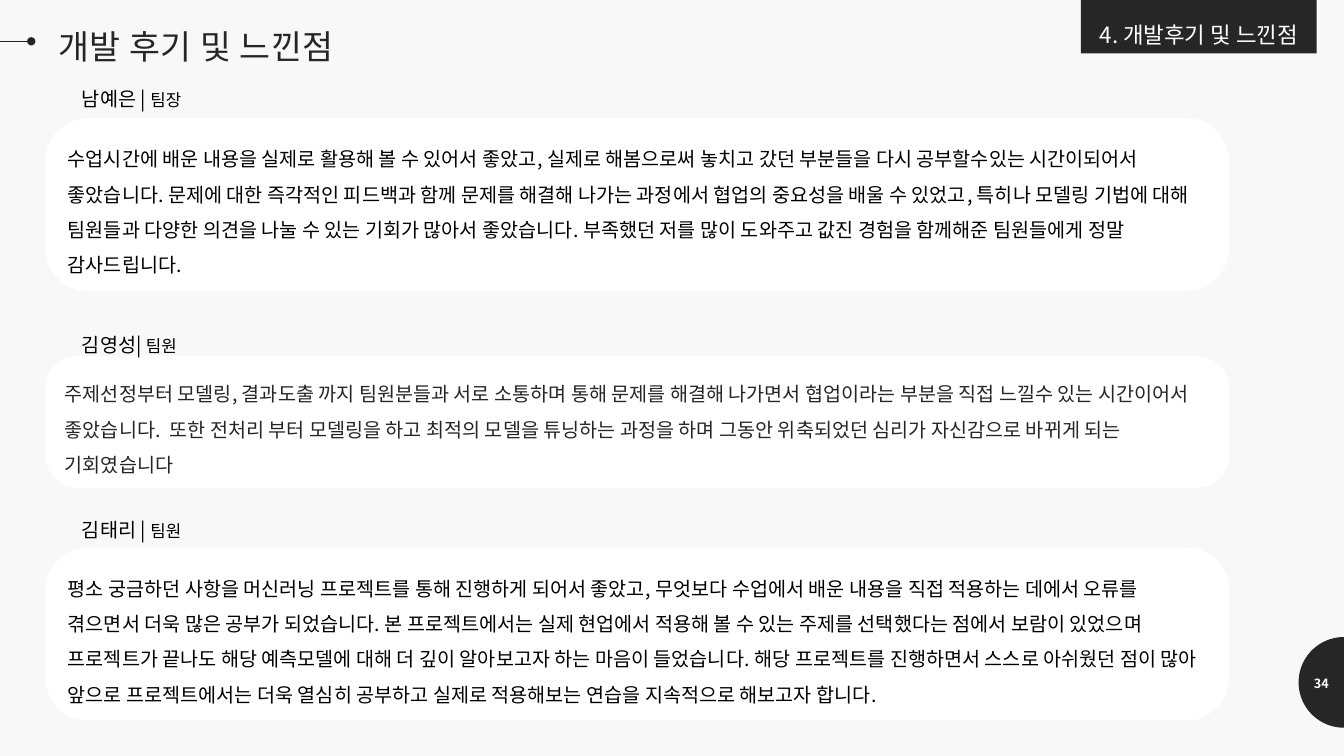
import math
from dataclasses import dataclass

from lxml import etree
from pptx import Presentation
from pptx.dml.color import RGBColor
from pptx.enum import shapes, text
from pptx.oxml import ns
from pptx.util import Inches, Pt

FONT = "Noto Sans CJK KR"
DARK = RGBColor(0x26, 0x26, 0x26)
BLACK = RGBColor(0, 0, 0)
WHITE = RGBColor(0xFF, 0xFF, 0xFF)
PAPER = RGBColor(0xF8, 0xF8, 0xF8)
WIDTH, HEIGHT = 13.33, 7.5
CORNER = 0.249
LABEL_BOX_SIZE = (1.49, 0.48)
TITLE_INSETS = (0.12, 0.12, 0.12, 0.1)


@dataclass(frozen=True)
class Review:
    name: str
    role: str
    comment: str
    label_top: float
    card_top: float
    card_height: float
    color: RGBColor = BLACK


REVIEWS = [
    Review(
        "남예은 | ", "팀장",
        "수업시간에 배운 내용을 실제로 활용해 볼 수 있어서 좋았고, 실제로 해봄으로써 놓치고 갔던 부분들을 "
        "다시 공부할수있는 시간이되어서 좋았습니다. 문제에 대한 즉각적인 피드백과 함께 문제를 해결해 나가는 "
        "과정에서 협업의 중요성을 배울 수 있었고, 특히나 모델링 기법에 대해 팀원들과 다양한 의견을 나눌 수 있는 "
        "기회가 많아서 좋았습니다. 부족했던 저를 많이 도와주고 값진 경험을 함께해준 팀원들에게 정말 감사드립니다.",
        0.66, 1.17, 1.72),
    Review(
        "김영성| ", "팀원",
        "주제선정부터 모델링, 결과도출 까지 팀원분들과 서로 소통하며 통해 문제를 해결해 나가면서 협업이라는 "
        "부분을 직접 느낄수 있는 시간이어서 좋았습니다.  또한 전처리 부터 모델링을 하고 최적의 모델을 튜닝하는 "
        "과정을 하며 그동안 위축되었던 심리가 자신감으로 바뀌게 되는 기회였습니다",
        3.1, 3.53, 1.31, DARK),
    Review(
        "김태리 | ", "팀원",
        "평소 궁금하던 사항을 머신러닝 프로젝트를 통해 진행하게 되어서 좋았고, 무엇보다 수업에서 배운 내용을 "
        "직접 적용하는 데에서 오류를 겪으면서 더욱 많은 공부가 되었습니다. 본 프로젝트에서는 실제 현업에서 "
        "적용해 볼 수 있는 주제를 선택했다는 점에서 보람이 있었으며 프로젝트가 끝나도 해당 예측모델에 대해 더 깊이 "
        "알아보고자 하는 마음이 들었습니다. 해당 프로젝트를 진행하면서 스스로 아쉬웠던 점이 많아 앞으로 "
        "프로젝트에서는 더욱 열심히 공부하고 실제로 적용해보는 연습을 지속적으로 해보고자 합니다.",
        4.94, 5.43, 1.72),
]


def add_span(para, content: str, *, size: float, color: RGBColor,
             bold: bool = False, tracking: int = 0) -> None:
    """Append a run; tracking is in hundredths of a point."""
    span = para.add_run()
    span.text = content
    span.font.name = FONT
    span.font.size = Pt(size)
    span.font.bold = bold
    span.font.color.rgb = color
    properties = span.font._element
    etree.SubElement(properties, ns.qn("a:ea")).set("typeface", FONT)
    if tracking:
        properties.set("spc", str(tracking))


def prepare_para(box, *, align=text.PP_ALIGN.LEFT, anchor=text.MSO_ANCHOR.TOP,
                 spacing: float = 1.0, insets=(0.1, 0.05, 0.1, 0.05)):
    """Set the frame's layout and return its first paragraph."""
    frame = box.text_frame
    frame.word_wrap = True
    frame.auto_size = text.MSO_AUTO_SIZE.NONE
    frame.vertical_anchor = anchor
    (frame.margin_left, frame.margin_top,
     frame.margin_right, frame.margin_bottom) = map(Inches, insets)
    para = frame.paragraphs[0]
    para.alignment = align
    para.line_spacing = spacing
    return para


def add_box(page, kind, left: float, top: float, width: float, height: float,
            fill: RGBColor | None = None):
    box = page.shapes.add_shape(kind, *map(Inches, (left, top, width, height)))
    box.shadow.inherit = False
    box.line.fill.background()
    if fill is None:
        box.fill.background()
    else:
        box.fill.solid()
        box.fill.fore_color.rgb = fill
    if kind == shapes.MSO_SHAPE.ROUNDED_RECTANGLE:
        box.adjustments[0] = CORNER
    return box


def add_review(page, review: Review) -> None:
    rounded = shapes.MSO_SHAPE.ROUNDED_RECTANGLE
    card = add_box(page, rounded, 0.45, review.card_top, 11.74, review.card_height, WHITE)
    add_span(prepare_para(card, spacing=1.5), review.comment, size=14, color=review.color)
    label = add_box(page, rounded, 0.68, review.label_top, *LABEL_BOX_SIZE)
    para = prepare_para(label, spacing=1.5)
    add_span(para, review.name, size=14, color=BLACK)
    add_span(para, review.role, size=12, color=BLACK)


def add_page_number(page, number: str) -> None:
    radius, middle = 0.45, 6.77
    angles = [math.radians(degrees) for degrees in range(90, 271, 4)]
    points = [(Inches(WIDTH + radius * math.cos(angle)),
               Inches(middle + radius * math.sin(angle))) for angle in angles]
    builder = page.shapes.build_freeform(*points[0])
    builder.add_line_segments(points[1:], close=True)
    half_disc = builder.convert_to_shape()
    half_disc.shadow.inherit = False
    half_disc.fill.solid()
    half_disc.fill.fore_color.rgb = DARK
    half_disc.line.fill.background()
    box = page.shapes.add_textbox(*map(Inches, (WIDTH - radius, 6.57, radius, 0.4)))
    para = prepare_para(box, align=text.PP_ALIGN.CENTER, anchor=text.MSO_ANCHOR.MIDDLE,
                        insets=TITLE_INSETS)
    add_span(para, number, size=9, color=WHITE, bold=True)


def add_title(page, content: str) -> None:
    pointer = page.shapes.add_connector(
        shapes.MSO_CONNECTOR.STRAIGHT, *map(Inches, (0, 0.41, 0.31, 0.41)))
    pointer.line.color.rgb = DARK
    pointer.line.width = Pt(0.5)
    etree.SubElement(pointer.line._get_or_add_ln(), ns.qn("a:tailEnd")).set("type", "oval")
    etree.SubElement(pointer._element.spPr, ns.qn("a:effectLst"))

    title = page.shapes.title
    title.left, title.top, title.width, title.height = map(Inches, (0.46, 0.1, 4.18, 0.62))
    para = prepare_para(title, spacing=1.1, insets=TITLE_INSETS)
    add_span(para, content, size=24, color=DARK, tracking=40)


def add_section_tab(page, content: str) -> None:
    tab = add_box(page, shapes.MSO_SHAPE.RECTANGLE, 10.72, 0, 2.34, 0.53, DARK)
    para = prepare_para(tab, align=text.PP_ALIGN.CENTER, anchor=text.MSO_ANCHOR.BOTTOM)
    add_span(para, content, size=16, color=WHITE)


def main() -> None:
    deck = Presentation()
    deck.slide_width, deck.slide_height = Inches(WIDTH), Inches(HEIGHT)
    page = deck.slides.add_slide(deck.slide_layouts.get_by_name("Title Only"))
    page.background.fill.solid()
    page.background.fill.fore_color.rgb = PAPER
    add_page_number(page, "34")
    add_title(page, "개발 후기 및 느낀점")
    add_section_tab(page, "4. 개발후기 및 느낀점")
    for review in REVIEWS:
        add_review(page, review)
    deck.save("out.pptx")


if __name__ == "__main__":
    main()
